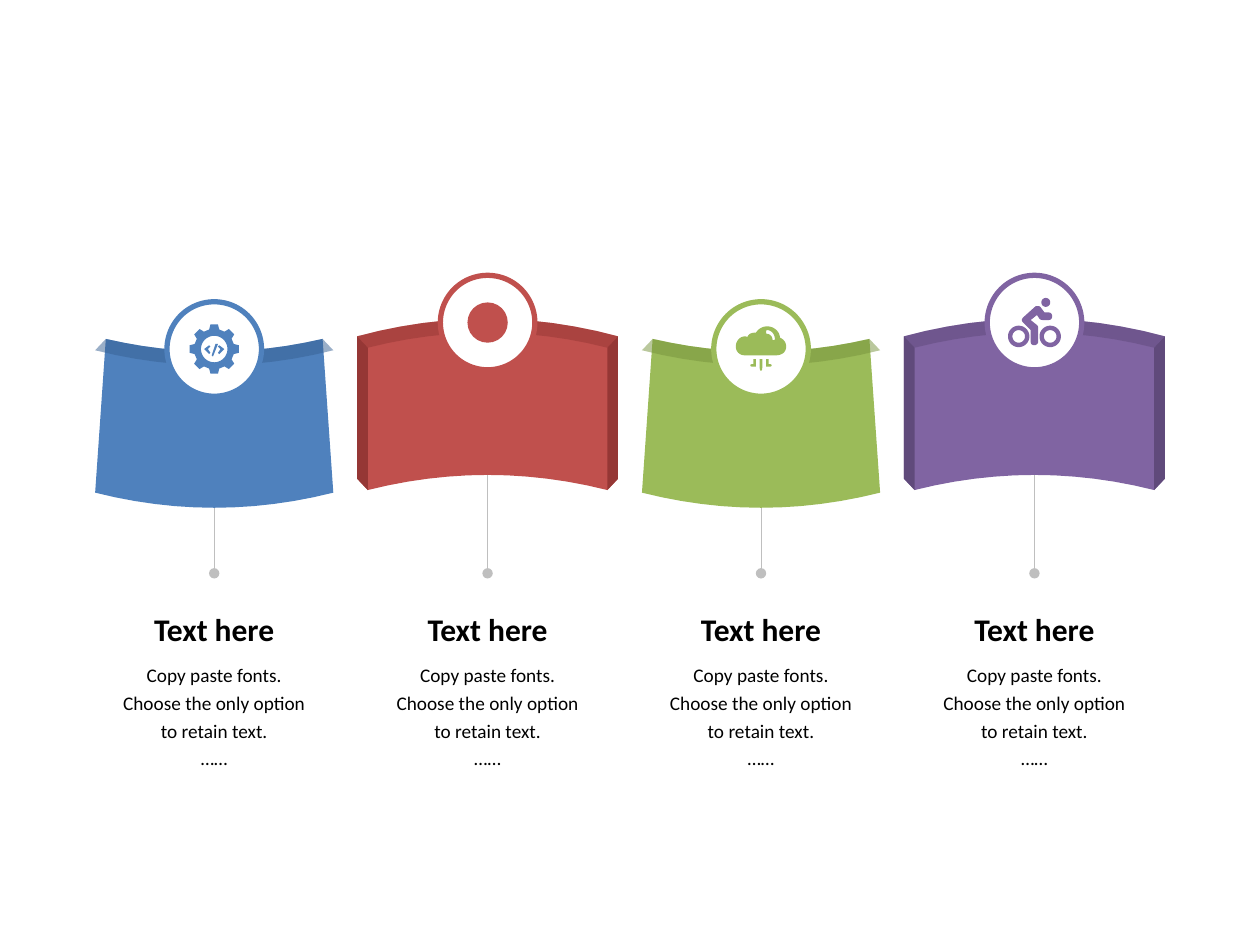
"""Build a slide of four curved banners with icon badges and captions."""
from math import cos, pi, sin

from lxml.etree import SubElement
from pptx import Presentation
from pptx.dml.color import RGBColor
from pptx.enum.shapes import MSO_CONNECTOR as Connector, MSO_SHAPE as Preset
from pptx.enum.text import MSO_ANCHOR as Anchor, PP_ALIGN as Align
from pptx.oxml.ns import qn
from pptx.util import Inches, Pt

BLUE, DARK_BLUE = RGBColor(0x4F, 0x81, 0xBD), RGBColor(0x37, 0x60, 0x92)
RED, DARK_RED = RGBColor(0xC0, 0x50, 0x4D), RGBColor(0x95, 0x37, 0x35)
GREEN, DARK_GREEN = RGBColor(0x9B, 0xBB, 0x59), RGBColor(0x77, 0x93, 0x3C)
PURPLE, DARK_PURPLE = RGBColor(0x80, 0x64, 0xA2), RGBColor(0x60, 0x4A, 0x7B)
GRAY = RGBColor(0xBF, 0xBF, 0xBF)
WHITE, BLACK = RGBColor(0xFF, 0xFF, 0xFF), RGBColor(0, 0, 0)

FIRST_COLUMN, COLUMN_STEP = 1.7, 2.17
LOW_ROW, HIGH_ROW = 2.77, 2.56
STEM_TOP, STEM_END = 3.75, 4.55
TITLE_ROW, BODY_ROW = 4.84, 5.18
TEXT_WIDTH, BADGE_SIZE = 1.7, 0.75
UNIT = 0.01
CURVE_STEPS = 12

CLOUD = [(5, -18), (10, -18, 15, -14, 15, -9), (18, -8, 20, -5, 20, -2),
         (20, 2, 17, 5, 12, 5), (-13, 5), (-17, 5, -20, 2, -20, -2),
         (-20, -6, -17, -10, -13, -10), (-12, -10, -11, -10, -11, -9),
         (-10, -12, -8, -13, -4, -13), (-2, -16, 1, -18, 5, -18)]
CLOUD_SHINE = [(5, -15), (4, -15, 4, -14, 4, -13), (4, -13, 4, -12, 5, -12),
               (7, -12, 9, -10, 9, -8), (9, -8, 9, -7, 10, -7),
               (11, -7, 11, -8, 11, -8), (11, -12, 8, -15, 5, -15)]
MIDDLE_PIN = [(-1, 8), (1, 8), (1, 15), (1, 18, -1, 18, -1, 15)]
SIDE_PIN = [(4, 8), (6, 8), (6, 12), (7, 12), (9, 12, 9, 14, 7, 14),
            (5, 14), (4, 14, 4, 14, 4, 13)]
RIDER = [(3, -13), (4, -13, 4, -13, 5, -12), (8, -8), (11, -8),
         (13, -8, 14, -7, 14, -5), (14, -3, 13, -2, 11, -2), (7, -2),
         (6, -2, 5, -2, 4, -3), (2, -6), (-3, -2), (2, 2),
         (2, 2, 3, 3, 3, 4), (3, 15), (3, 17, 1, 18, 0, 18),
         (-2, 18, -3, 17, -3, 15), (-3, 6), (-9, 0),
         (-9, 0, -10, -1, -10, -2), (-10, -3, -9, -4, -9, -4), (1, -13)]
CHEVRON = [(4, -3), (8, 0), (4, 4), (3, 3), (5, 0), (3, -2)]
SLASH = [(1, -4), (3, -4), (-1, 6), (-2, 5)]


def flatten(contour):
    """Turn line and cubic curve steps into plain points."""
    points = []
    for step in contour:
        if len(step) == 2:
            points.append(step)
            continue
        controls = [points[-1], step[:2], step[2:4], step[4:]]
        for index in range(1, CURVE_STEPS + 1):
            t = index / CURVE_STEPS
            weights = ((1 - t) ** 3, 3 * t * (1 - t) ** 2, 3 * t * t * (1 - t), t ** 3)
            points.append(tuple(sum(weight * control[axis] for weight, control
                                    in zip(weights, controls)) for axis in (0, 1)))
    return points


def circle(x, y, radius):
    """Return the points of a circle."""
    return [(x + radius * cos(k * pi / 24), y + radius * sin(k * pi / 24)) for k in range(48)]


def mirror(contour):
    """Flip a contour from left to right."""
    return [tuple(-value if index % 2 == 0 else value
                  for index, value in enumerate(step)) for step in contour]


def bow(half, edge, middle):
    """Return an arc from left to right that passes its middle height."""
    control = edge + (middle - edge) * 4 / 3
    return [(-half, edge), (-half / 3, control, half / 3, control, half, edge)]


def paint(shape, color, opacity=None):
    """Give a shape a plain fill, with no shadow and no outline."""
    shape.shadow.inherit = False
    shape.fill.solid()
    shape.fill.fore_color.rgb = color
    shape.line.fill.background()
    if opacity:
        tint = shape.fill._xPr.find(qn("a:solidFill"))[0]
        SubElement(tint, qn("a:alpha")).set("val", str(opacity * 1000))


def add_outline(page, center, contours, color, opacity=None):
    """Draw contours around a centre as one filled freeform."""
    builder = None
    for contour in contours:
        points = [tuple(Inches(middle + value * UNIT) for middle, value in zip(center, point))
                  for point in flatten(contour)]
        if builder is None:
            builder = page.shapes.build_freeform(*points[0])
        else:
            builder.move_to(*points[0])
        builder.add_line_segments(points[1:], close=True)
    paint(builder.convert_to_shape(), color, opacity)


def add_disc(page, center, size, color):
    """Draw a disc around a centre."""
    left, top = (Inches(value - size / 2) for value in center)
    disc = page.shapes.add_shape(Preset.OVAL, left, top, Inches(size), Inches(size))
    paint(disc, color)
    return disc


def add_stem(page, x):
    """Draw the thin line with a dot below a banner."""
    stem = page.shapes.add_connector(Connector.STRAIGHT, Inches(x), Inches(STEM_END),
                                     Inches(x), Inches(STEM_TOP))
    stem.line.color.rgb = GRAY
    stem.line.width = Pt(0.25)
    SubElement(stem.line._get_or_add_ln(), qn("a:headEnd")).set("type", "oval")
    SubElement(stem._element.spPr, qn("a:effectLst"))


def add_low_banner(page, center, color, dark):
    """Draw a banner that sags in the middle."""
    rim, front = bow(86, -8, 2), bow(94.5, 1, 13)
    add_outline(page, center, [rim + mirror(bow(94.5, 114, 126))], color)
    add_outline(page, center, [rim + mirror(front)], dark, 50)


def add_high_banner(page, center, color, dark):
    """Draw a banner that arches in the middle and has folded sides."""
    rim, front = bow(103.5, 11, -3), bow(95, 20, 8)
    side = [(-95, 133), (-103.5, 124), (-103.5, 11), (-95, 20)]
    add_outline(page, center, [rim + [(103.5, 124)] + mirror(bow(95, 133, 121))
                               + [(-103.5, 124)]], color)
    add_outline(page, center, [rim + mirror(front)], dark, 50)
    for fold in (side, mirror(side)):
        add_outline(page, center, [fold], dark)


def add_gear(page, center, color):
    """Draw a gear with a code sign."""
    tooth = [(-4, -15.5), (-3, -19.5), (3, -19.5), (4, -15.5)]
    rim = [(x * cos(k * pi / 4) - y * sin(k * pi / 4), x * sin(k * pi / 4) + y * cos(k * pi / 4))
           for k in range(8) for x, y in tooth]
    add_outline(page, center, [rim, circle(0, 0, 10.5), CHEVRON, mirror(CHEVRON), SLASH], color)


def add_fruit(page, center, color):
    """Draw a plain round mark."""
    add_disc(page, center, 0.32, color)


def add_cloud(page, center, color):
    """Draw a cloud with three pins."""
    add_outline(page, center, [CLOUD, CLOUD_SHINE, MIDDLE_PIN, SIDE_PIN, mirror(SIDE_PIN)], color)


def add_cyclist(page, center, color):
    """Draw a rider on a bicycle."""
    wheels = [circle(x, 11, radius) for x in (-12.5, 12.5) for radius in (8.5, 5)]
    add_outline(page, center, wheels + [RIDER, circle(9, -16, 3.5)], color)


def add_text(page, text, x, top, height, size, bold=False, anchor=Anchor.TOP):
    """Add centred text, one paragraph a line."""
    box = page.shapes.add_textbox(Inches(x - TEXT_WIDTH / 2), Inches(top),
                                  Inches(TEXT_WIDTH), Inches(height))
    frame = box.text_frame
    frame.word_wrap = True
    frame.vertical_anchor = anchor
    frame.text = text
    for para in frame.paragraphs:
        para.alignment = Align.CENTER
        para.line_spacing = 1.2
        for span in para.runs:
            span.font.name, span.font.size, span.font.bold = "Calibri", Pt(size), bold
            span.font.color.rgb = BLACK


def main():
    """Build and save the deck."""
    deck = Presentation()
    deck.slide_width, deck.slide_height = Inches(10), Inches(7.5)
    page = deck.slides.add_slide(deck.slide_layouts[6])
    columns = [(LOW_ROW, add_low_banner, add_gear, BLUE, DARK_BLUE),
               (HIGH_ROW, add_high_banner, add_fruit, RED, DARK_RED),
               (LOW_ROW, add_low_banner, add_cloud, GREEN, DARK_GREEN),
               (HIGH_ROW, add_high_banner, add_cyclist, PURPLE, DARK_PURPLE)]
    for index, (row, add_banner, add_icon, color, dark) in enumerate(columns):
        x = FIRST_COLUMN + index * COLUMN_STEP
        add_stem(page, x)
        add_banner(page, (x, row), color, dark)
        badge = add_disc(page, (x, row), BADGE_SIZE, WHITE)
        badge.line.color.rgb = color
        badge.line.width = Pt(3)
        add_icon(page, (x, row), color)
        add_text(page, "Text here", x, TITLE_ROW, 0.35, 18, bold=True, anchor=Anchor.BOTTOM)
        add_text(page, "Copy paste fonts. Choose the only option to retain text.\n……",
                 x, BODY_ROW, 0.59, 11)
    deck.save("out.pptx")


if __name__ == "__main__":
    main()
